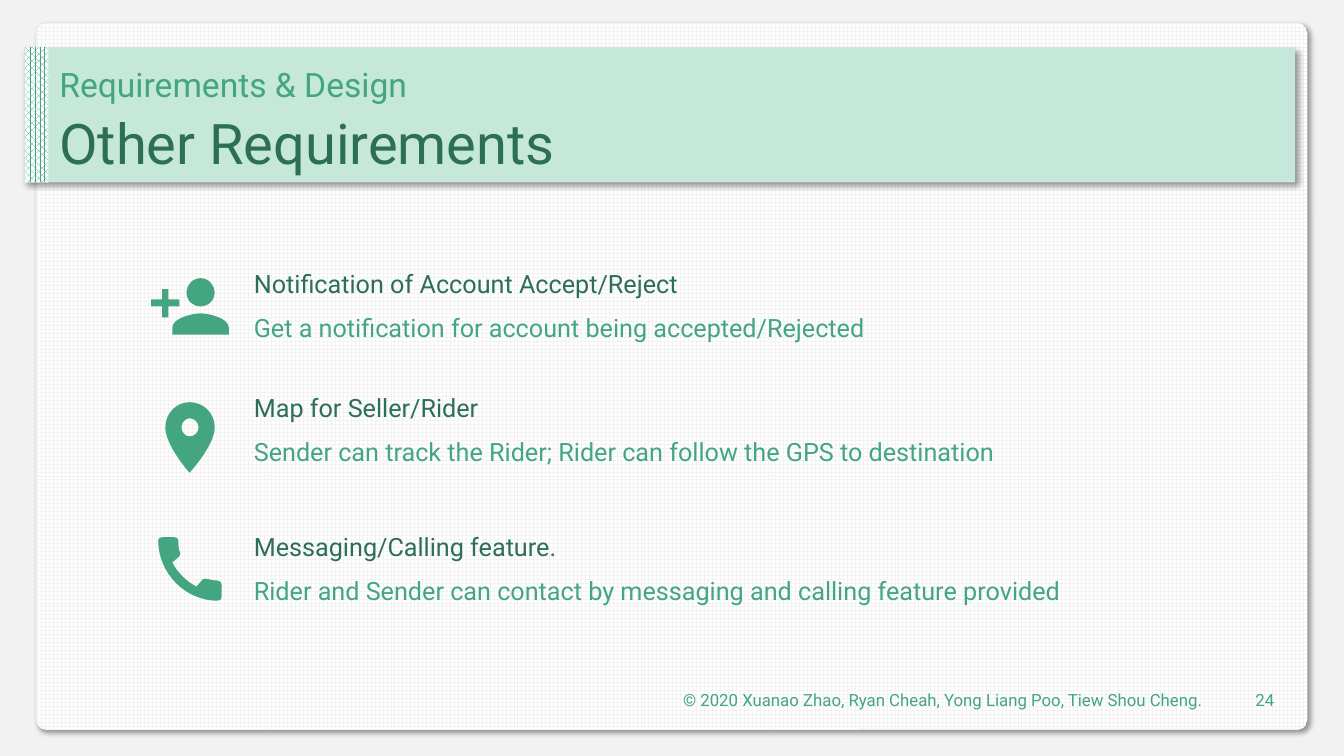
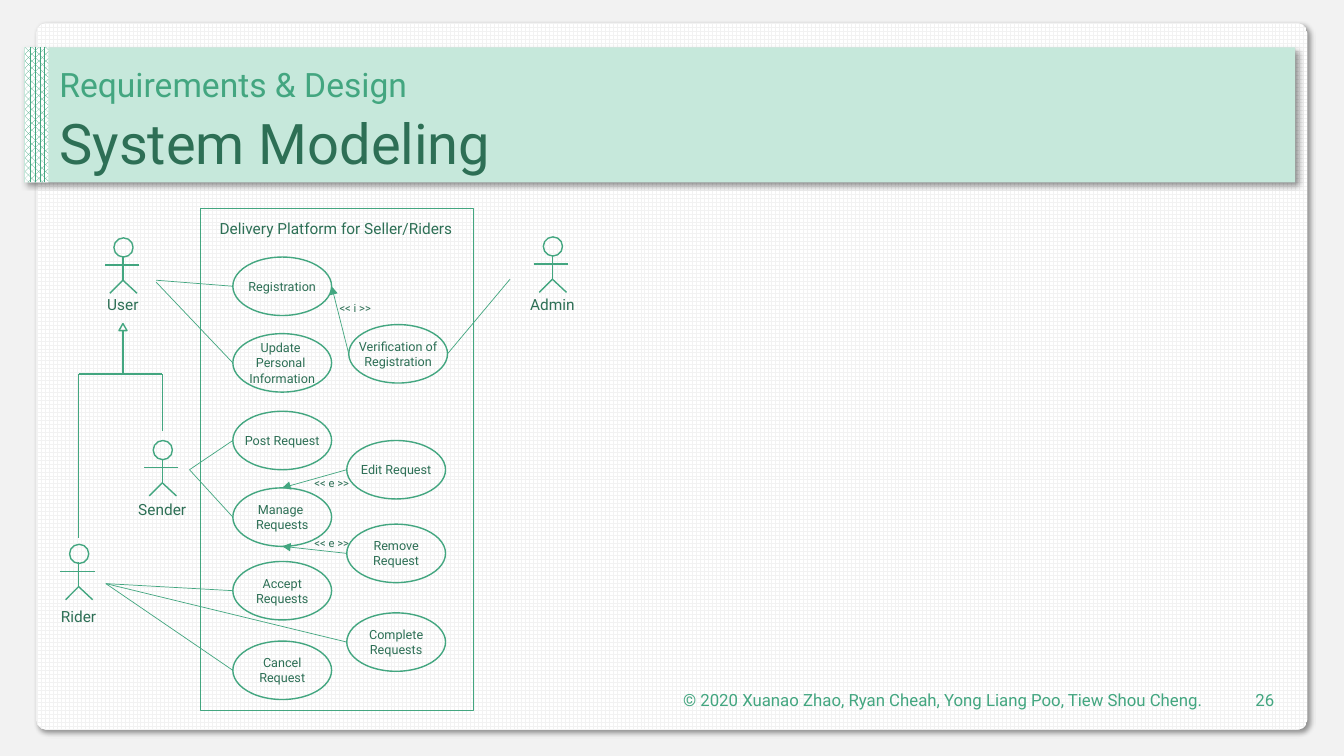
from lxml.etree import SubElement
from pptx import Presentation
from pptx.dml.color import RGBColor
from pptx.enum.dml import MSO_PATTERN
from pptx.enum.shapes import MSO_CONNECTOR, MSO_SHAPE
from pptx.enum.text import MSO_ANCHOR, PP_ALIGN
from pptx.oxml.ns import qn
from pptx.util import Inches, Pt

GREEN = RGBColor(0x43, 0xA6, 0x80)
DARK = RGBColor(0x2D, 0x6F, 0x55)
MINT = RGBColor(0xC6, 0xE8, 0xDB)
GREY = RGBColor(0xF2, 0xF2, 0xF2)
WHITE = RGBColor(0xFF, 0xFF, 0xFF)
FONT = "Roboto"
CREDIT = "© 2020 Xuanao Zhao, Ryan Cheah, Yong Liang Poo, Tiew Shou Cheng."


def write(box, words, size, ink, align=PP_ALIGN.LEFT, anchor=MSO_ANCHOR.TOP, wrap=True):
    frame = box.text_frame
    frame.word_wrap = wrap
    frame.vertical_anchor = anchor
    para = frame.paragraphs[0]
    para.alignment = align
    for n, part in enumerate(words.split("\n")):
        if n:
            para.add_line_break()
        run = para.add_run()
        run.text = part
        run.font.name = FONT
        run.font.size = Pt(size)
        run.font.color.rgb = ink
    return para


def link(page, start, end, width, arrow=False):
    ends = [Inches(value) for value in (*start, *end)]
    line = page.shapes.add_connector(MSO_CONNECTOR.STRAIGHT, *ends)
    line.line.color.rgb = GREEN
    line.line.width = Pt(width)
    props = line._element.spPr
    if arrow:
        SubElement(props.find(qn("a:ln")), qn("a:tailEnd"), type="triangle")
    SubElement(props, qn("a:effectLst"))


deck = Presentation()
deck.slide_width = Inches(40 / 3)
deck.slide_height = Inches(7.5)

base = deck.slide_layouts[6]
for holder in list(base.placeholders):
    base.shapes._spTree.remove(holder._element)
base.background.fill.solid()
base.background.fill.fore_color.rgb = GREY
needs, model = [deck.slides.add_slide(base) for _ in range(2)]

for kind, spot, weave, ink, raised in [
    (MSO_SHAPE.ROUNDED_RECTANGLE, (0.36, 0.23, 12.61, 7.01), MSO_PATTERN.LARGE_GRID, GREY, True),
    (MSO_SHAPE.RECTANGLE, (0.24, 0.47, 12.61, 1.34), None, MINT, True),
    (MSO_SHAPE.RECTANGLE, (0.25, 0.47, 0.23, 1.34), MSO_PATTERN.PERCENT_70, GREEN, False),
]:
    panel = needs.shapes.add_shape(kind, *map(Inches, spot))
    panel.line.fill.background()
    panel.shadow.inherit = False
    if kind == MSO_SHAPE.ROUNDED_RECTANGLE:
        panel.adjustments[0] = 0.014
    if weave:
        panel.fill.patterned()
        panel.fill.pattern = weave
        panel.fill.back_color.rgb = WHITE
    else:
        panel.fill.solid()
    panel.fill.fore_color.rgb = ink
    if raised:
        glow = SubElement(
            panel._element.spPr.find(qn("a:effectLst")), qn("a:outerShdw"),
            blurRad=str(Pt(4)), dist=str(Pt(3)), dir="2700000", algn="tl", rotWithShape="0",
        )
        shade = SubElement(glow, qn("a:srgbClr"), val="000000")
        SubElement(shade, qn("a:alpha"), val="40000")
    base.shapes._spTree.append(panel._element)

for page, title, number in [(needs, "Other Requirements", "24"), (model, "System Modeling", "26")]:
    for words, top, height, size, ink in [
        ("Requirements & Design", 0.54, 0.55, 24, GREEN),
        (title, 1.09, 0.71, 40, DARK),
    ]:
        box = page.shapes.add_textbox(Inches(0.49), Inches(top), Inches(12.35), Inches(height))
        write(box, words, size, ink, anchor=MSO_ANCHOR.BOTTOM).line_spacing = 0.9
    for words, left, width in [(CREDIT, 5.44, 6.59), (number, 12.15, 0.59)]:
        box = page.shapes.add_textbox(Inches(left), Inches(6.74), Inches(width), Inches(0.4))
        write(box, words, 12, GREEN, PP_ALIGN.RIGHT, MSO_ANCHOR.MIDDLE)

for top, head, note, width in [
    (2.61, "Notification of Account Accept/Reject",
     "Get a notification for account being accepted/Rejected", 6.67),
    (3.84, "Map for Seller/Rider",
     "Sender can track the Rider; Rider can follow the GPS to destination", 7.67),
    (5.22, "Messaging/Calling feature.",
     "Rider and Sender can contact by messaging and calling feature provided", 8.23),
]:
    for words, low, span, ink in [(head, top, 6.85, DARK), (note, top + 0.44, width, GREEN)]:
        box = needs.shapes.add_textbox(Inches(2.42), Inches(low), Inches(span), Inches(0.4))
        write(box, words, 18, ink)

person = [
    [(1.99, 3.04), (2.07, 3.04, 2.13, 2.98, 2.13, 2.9), (2.13, 2.83, 2.07, 2.76, 1.99, 2.76),
     (1.91, 2.76, 1.85, 2.83, 1.85, 2.9), (1.85, 2.98, 1.91, 3.04, 1.99, 3.04)],
    [(1.67, 2.97), (1.67, 2.87), (1.61, 2.87), (1.61, 2.97), (1.5, 2.97), (1.5, 3.04),
     (1.61, 3.04), (1.61, 3.15), (1.67, 3.15), (1.67, 3.04), (1.78, 3.04), (1.78, 2.97)],
    [(1.99, 3.11), (1.9, 3.11, 1.71, 3.16, 1.71, 3.25), (1.71, 3.32), (2.27, 3.32),
     (2.27, 3.25), (2.27, 3.16, 2.08, 3.11, 1.99, 3.11)],
]
pin = [
    [(1.88, 3.99), (1.75, 3.99, 1.64, 4.1, 1.64, 4.24), (1.64, 4.42, 1.88, 4.69, 1.88, 4.69),
     (1.88, 4.69, 2.13, 4.42, 2.13, 4.24), (2.13, 4.1, 2.02, 3.99, 1.88, 3.99)],
    [(1.88, 4.33), (1.84, 4.33, 1.8, 4.29, 1.8, 4.24), (1.8, 4.19, 1.84, 4.15, 1.88, 4.15),
     (1.93, 4.15, 1.97, 4.19, 1.97, 4.24), (1.97, 4.29, 1.93, 4.33, 1.88, 4.33)],
]
phone = [
    [(2.16, 5.76), (2.12, 5.76, 2.08, 5.75, 2.04, 5.74), (2.03, 5.74, 2.02, 5.74, 2.01, 5.75),
     (1.95, 5.82), (1.85, 5.77, 1.76, 5.68, 1.71, 5.58), (1.78, 5.52),
     (1.79, 5.51, 1.79, 5.5, 1.79, 5.49), (1.77, 5.45, 1.77, 5.41, 1.77, 5.36),
     (1.77, 5.34, 1.75, 5.33, 1.73, 5.33), (1.61, 5.33), (1.59, 5.33, 1.57, 5.34, 1.57, 5.36),
     (1.57, 5.69, 1.84, 5.96, 2.16, 5.96), (2.19, 5.96, 2.2, 5.94, 2.2, 5.92),
     (2.2, 5.8), (2.2, 5.78, 2.18, 5.76, 2.16, 5.76)],
]
for icon in (phone, pin, person):
    pen = needs.shapes.build_freeform(*map(Inches, icon[0][0]), scale=1)
    for n, loop in enumerate(icon):
        if n:
            pen.move_to(*map(Inches, loop[0]))
        pen.add_line_segments([tuple(map(Inches, part[-2:])) for part in loop[1:]], close=True)
    shape = pen.convert_to_shape()
    shape.shadow.inherit = False
    shape.fill.solid()
    shape.fill.fore_color.rgb = GREEN
    shape.line.fill.background()
    parts = [part for loop in icon for part in loop[1:]]
    for edge, part in zip(list(shape._element.iter(qn("a:lnTo"))), parts):
        if len(part) == 6:
            edge.addprevious(curve := edge.makeelement(qn("a:cubicBezTo")))
            for x, y in zip(part[::2], part[1::2]):
                SubElement(curve, qn("a:pt"), x=str(Inches(x) - shape.left), y=str(Inches(y) - shape.top))
            edge.getparent().remove(edge)

actors = [
    ("User", 1.22, 2.36, 2.88, 0.63),
    ("Sender", 1.61, 4.37, 4.91, 0.76),
    ("Rider", 0.78, 5.4, 5.97, 0.76),
    ("Admin", 5.48, 2.35, 2.88, 0.85),
]
sender, rider = (1.88, 4.66), (1.05, 5.79)
cases = [
    ("Registration", 2.31, 2.55, (1.55, 2.78), False),
    ("Update \nPersonal \nInformation", 2.31, 3.31, (1.55, 2.8), False),
    ("Post Request", 2.31, 4.08, sender, False),
    ("Manage \nRequests", 2.31, 4.84, sender, False),
    ("Accept\nRequests", 2.31, 5.57, rider, False),
    ("Complete\nRequests", 3.44, 6.08, rider, False),
    ("Cancel\nRequest", 2.31, 6.36, rider, False),
    ("Remove\nRequest", 3.44, 5.2, (2.8, 5.42), True),
    ("Edit Request", 3.44, 4.37, (2.8, 4.84), True),
    ("Verification of\nRegistration", 3.46, 3.22, (3.29, 2.84), True),
]
forms = [
    (MSO_SHAPE.RECTANGLE, (1.99, 2.07, 2.71, 4.98), ""),
    (MSO_SHAPE.ISOSCELES_TRIANGLE, (1.18, 3.21, 0.08, 0.07), ""),
]
forms += [(MSO_SHAPE.OVAL, (x - 0.09, y, 0.19, 0.19), "") for _, x, y, _, _ in actors]
forms += [(MSO_SHAPE.OVAL, (x, y, 0.98, 0.58), words) for words, x, y, _, _ in cases]
for kind, spot, words in forms:
    form = model.shapes.add_shape(kind, *map(Inches, spot))
    form.shadow.inherit = False
    form.fill.background()
    form.line.color.rgb = GREEN
    form.line.width = Pt(1)
    if words:
        write(form, words, 9, DARK, PP_ALIGN.CENTER, MSO_ANCHOR.MIDDLE, False)

for name, x, y, low, width in actors:
    waist = (x, y + 0.42)
    for start, end in [
        ((x, y + 0.18), waist),
        ((x + 0.16, y + 0.27), (x - 0.18, y + 0.27)),
        (waist, (x - 0.13, y + 0.55)),
        (waist, (x + 0.14, y + 0.55)),
    ]:
        link(model, start, end, 1)
    box = model.shapes.add_textbox(Inches(x - width / 2), Inches(low), Inches(width), Inches(0.29))
    write(box, name, 11, DARK, PP_ALIGN.CENTER)

for start, end in [
    ((0.78, 5.34), (0.78, 3.71)),
    ((1.61, 4.28), (1.61, 3.71)),
    ((0.78, 3.71), (1.61, 3.71)),
    ((1.22, 3.71), (1.22, 3.28)),
]:
    link(model, start, end, 1)

for _, x, y, goal, arrow in cases:
    link(model, (x, y + 0.29), goal, 0.5, arrow)
link(model, (5.06, 2.77), (4.44, 3.51), 0.5)

for words, left, top, width, height, size in [
    ("Delivery Platform for Seller/Riders", 2.08, 2.12, 2.52, 0.29, 11),
    ("<< e >>", 3.02, 4.68, 0.61, 0.24, 8),
    ("<< e >>", 3.02, 5.27, 0.61, 0.24, 8),
    ("<< i >>", 3.27, 2.94, 0.61, 0.24, 8),
]:
    box = model.shapes.add_textbox(*map(Inches, (left, top, width, height)))
    write(box, words, size, DARK)

deck.save("out.pptx")
